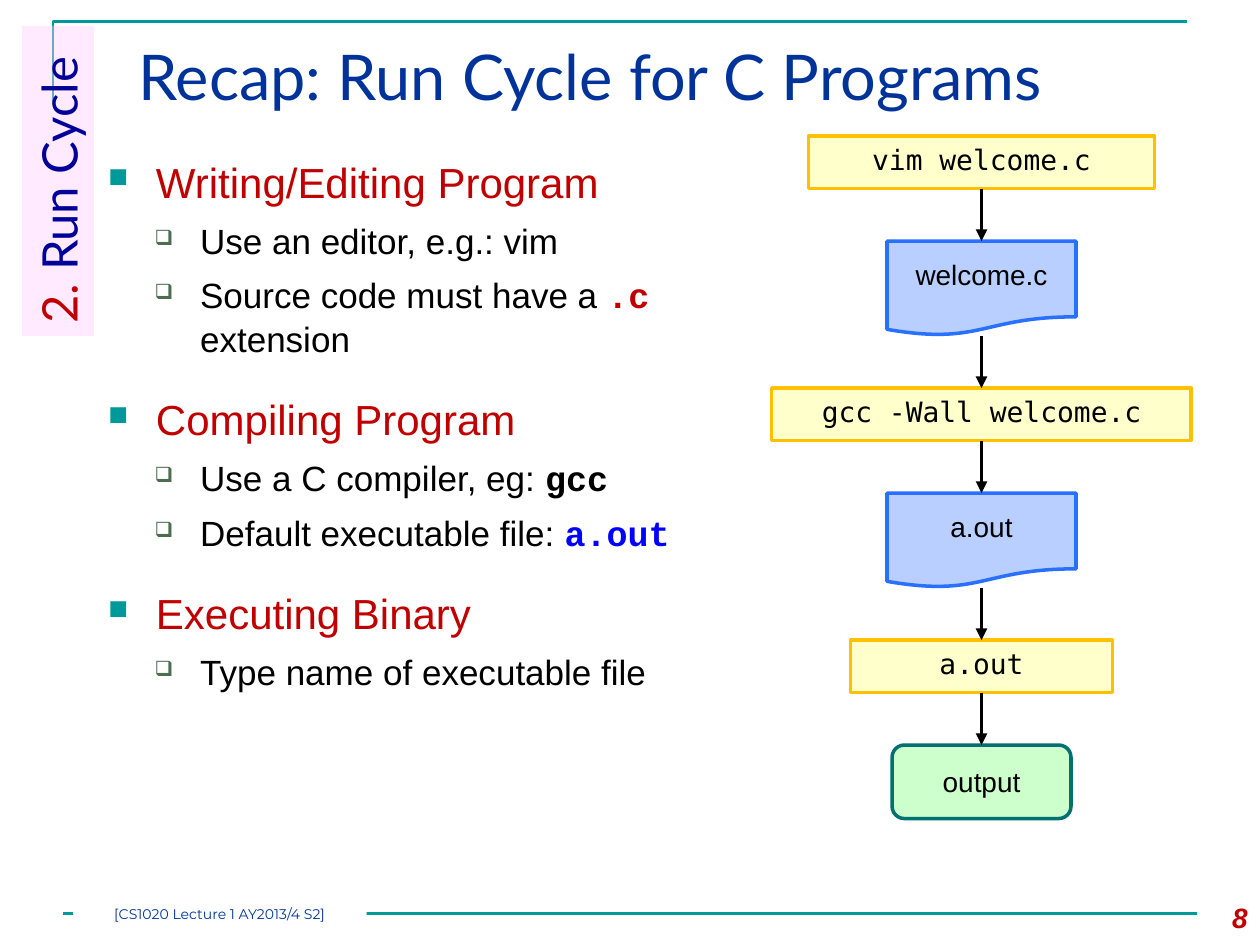
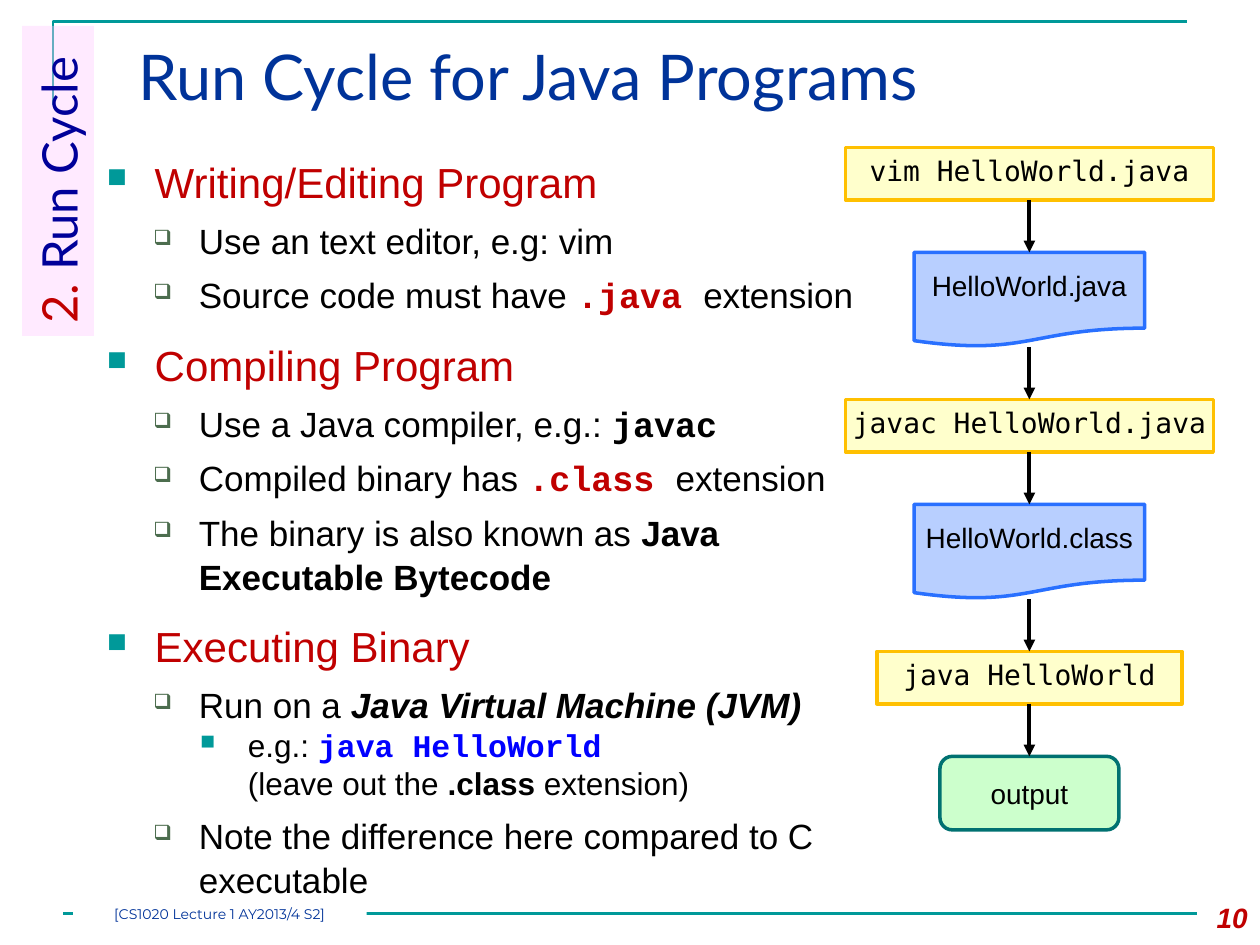
from lxml.etree import SubElement
from pptx import Presentation
from pptx.dml.color import RGBColor
from pptx.enum.shapes import MSO_CONNECTOR, MSO_SHAPE
from pptx.enum.text import MSO_ANCHOR, PP_ALIGN
from pptx.oxml.ns import qn
from pptx.util import Inches, Pt

# Shared colours and fonts
TEAL, NAVY, RED, BLUE, BLACK = "009999", "003399", "C00000", "0000FF", "000000"
SANS, CODE, MONO, HEAD = "Arial", "Courier New", "DejaVu Sans Mono", "Lato"

# Run styles in the body: font, colour (None keeps the level's), bold, italic
STYLES = {
    "plain": (SANS, None, False, False),
    "bold": (SANS, None, True, False),
    "slant": (SANS, None, True, True),
    "code": (CODE, None, True, False),
    "red": (CODE, RED, True, False),
    "blue": (CODE, BLUE, True, False),
}

# Body levels: left, hang, size, colour, line spacing, bullet, its colour and percent
LEVELS = [
    (0.38, 0.38, 24, RED, 1.05, "■", TEAL, 65),
    (0.73, 0.36, 20, BLACK, 1.05, "❑", "4C6D4E", 60),
    (1.12, 0.38, 18, BLACK, 1.0, "■", TEAL, 65),
]

# Chart nodes: shape, height, fill, line, font, top inset, anchor
STEP = 5 / 12
NODES = {
    "cmd": (MSO_SHAPE.RECTANGLE, STEP, "FFFFCC", "FFC000", MONO, 0.05, MSO_ANCHOR.TOP),
    "file": (MSO_SHAPE.FLOWCHART_DOCUMENT, 0.75, "B8CFFF", "2970FF", SANS, 0.13,
             MSO_ANCHOR.TOP),
    "end": (MSO_SHAPE.FLOWCHART_ALTERNATE_PROCESS, 7 / 12, "CCFFCC", "007171", SANS,
            0.05, MSO_ANCHOR.MIDDLE),
}


def rgb(code):
    return RGBColor.from_string(code)


def add_run(para, text, size, font, color, bold=False, slant=False):
    run = para.add_run()
    run.text = text
    face = run.font
    face.size, face.name, face.bold, face.italic = Pt(size), font, bold, slant
    face.color.rgb = rgb(color)


def add_text(slide, x, y, wide, high):
    frame = slide.shapes.add_textbox(
        Inches(x), Inches(y), Inches(wide), Inches(high)).text_frame
    frame.word_wrap = True
    return frame


def add_box(slide, kind, x, y, wide, high, fill, line=None):
    box = slide.shapes.add_shape(
        kind, Inches(x), Inches(y), Inches(wide), Inches(high))
    box.shadow.inherit = False
    box.fill.solid()
    box.fill.fore_color.rgb = rgb(fill)
    if line:
        box.line.color.rgb = rgb(line)
        box.line.width = Pt(2)
    else:
        box.line.fill.background()
    return box


def set_pad(frame, side=0, top=0):
    frame.margin_left = frame.margin_right = Inches(side)
    frame.margin_top, frame.margin_bottom = Inches(top), 0


def add_line(slide, x, y, end_x, end_y, color, width):
    line = slide.shapes.add_connector(
        MSO_CONNECTOR.STRAIGHT, Inches(x), Inches(y), Inches(end_x), Inches(end_y))
    line.line.color.rgb = rgb(color)
    line.line.width = Pt(width)
    SubElement(line._element.spPr, qn("a:effectLst"))
    return line


def add_arrow(slide, mid, y, start, end):
    arrow = add_line(slide, mid, y - STEP, mid, y, BLACK, 2.25)
    tip = SubElement(arrow._element.spPr.find(qn("a:ln")), qn("a:tailEnd"))
    tip.set("type", "triangle")
    if start.auto_shape_type == MSO_SHAPE.RECTANGLE:
        arrow.begin_connect(start, 2)
    arrow.end_connect(end, 0)


def add_frame(slide, title, number):
    # Corner rule and bottom rule
    pen = slide.shapes.build_freeform(Inches(0.42), Inches(0.83))
    pen.add_line_segments(
        [(Inches(0.42), Inches(0.17)), (Inches(9.42), Inches(0.17))], close=False)
    rule = pen.convert_to_shape()
    rule.shadow.inherit = False
    rule.fill.background()
    rule.line.color.rgb = rgb(TEAL)
    rule.line.width = Pt(1.5)
    add_line(slide, 0.5, 7.25, 9.5, 7.25, TEAL, 1.5)

    # Title
    para = add_text(slide, 1, 0.25, 8.5, 0.86).paragraphs[0]
    add_run(para, title, 36, HEAD, NAVY)

    # Footer and slide number
    foot = add_box(slide, MSO_SHAPE.RECTANGLE, 0.58, 7.17, 2.33, 0.17, "FFFFFF")
    set_pad(foot.text_frame)
    para = foot.text_frame.paragraphs[0]
    para.alignment = PP_ALIGN.CENTER
    add_run(para, "[CS1020 Lecture 1 AY2013/4 S2]", 8, "Montserrat", NAVY)
    para = add_text(slide, 9.33, 7.1, 0.67, 0.4).paragraphs[0]
    para.alignment = PP_ALIGN.RIGHT
    add_run(para, number, 16, SANS, RED, True, True)


def add_tab(slide):
    tab = add_box(slide, MSO_SHAPE.RECTANGLE, -0.77, 1.15, 2.46, 0.57, "FFCCFF")
    tab.rotation = 270
    tint = tab._element.spPr.find(qn("a:solidFill"))[0]
    SubElement(tint, qn("a:alpha")).set("val", "40000")
    para = tab.text_frame.paragraphs[0]
    para.alignment = PP_ALIGN.LEFT
    add_run(para, "2.", 28, HEAD, RED)
    add_run(para, " Run Cycle", 28, HEAD, "000099")


def add_bullet(para, left, hang, char, color, size):
    props = para._p.get_or_add_pPr()
    props.set("marL", str(Inches(left)))
    props.set("indent", str(-Inches(hang)))
    tint = SubElement(props, qn("a:buClr"))
    SubElement(tint, qn("a:srgbClr")).set("val", color)
    SubElement(props, qn("a:buSzPct")).set("val", str(size * 1000))
    SubElement(props, qn("a:buChar")).set("char", char)


def add_body(slide, x, wide, gap, items):
    """Each item is a level followed by its (text, style) runs."""
    frame = add_text(slide, x, 1.17, wide, 6)
    for num, (level, *runs) in enumerate(items):
        para = frame.add_paragraph() if num else frame.paragraphs[0]
        left, hang, size, color, space, char, tint, scale = LEVELS[level]
        add_bullet(para, left, hang, char, tint, scale)
        para.level = level
        para.line_spacing = space
        para.space_before = Pt((gap, 6, 0)[level] if num else 0)
        for text, style in runs:
            if text == "\n":
                para.add_line_break()
                continue
            font, own, bold, slant = STYLES[style]
            add_run(para, text, size, font, own or color, bold, slant)


def add_flow(slide, mid, top, nodes):
    """Stack nodes down one axis, with an arrow into each after the first."""
    last = None
    for kind, text, wide in nodes:
        form, high, fill, line, font, pad, anchor = NODES[kind]
        box = add_box(slide, form, mid - wide / 2, top, wide, high, fill, line)
        frame = box.text_frame
        frame.word_wrap = True
        frame.vertical_anchor = anchor
        set_pad(frame, top=pad if anchor == MSO_ANCHOR.TOP else 0)
        para = frame.paragraphs[0]
        para.alignment = PP_ALIGN.CENTER
        add_run(para, text, 16, font, BLACK)
        if last:
            add_arrow(slide, mid, top, last, box)
        last = box
        top += high + STEP


# Slide content
C_BODY = [
    (0, ("Writing/Editing Program", "plain")),
    (1, ("Use an editor, e.g.: vim", "plain")),
    (1, ("Source code must have a ", "plain"), (".c ", "red"), ("extension", "plain")),
    (0, ("Compiling Program", "plain")),
    (1, ("Use a C compiler, eg: ", "plain"), ("gcc", "code")),
    (1, ("Default executable file: ", "plain"), ("a.out", "blue")),
    (0, ("Executing Binary", "plain")),
    (1, ("Type name of executable file", "plain")),
]
C_FLOW = [
    ("cmd", "vim welcome.c", 2.75),
    ("file", "welcome.c", 1.5),
    ("cmd", "gcc -Wall welcome.c", 3.33),
    ("file", "a.out", 1.5),
    ("cmd", "a.out", 2.08),
    ("end", "output", 1.42),
]
JAVA_BODY = [
    (0, ("Writing/Editing Program", "plain")),
    (1, ("Use an text editor, e.g: vim", "plain")),
    (1, ("Source code must have ", "plain"), (".java ", "red"), ("extension", "plain")),
    (0, ("Compiling Program", "plain")),
    (1, ("Use a Java compiler, e.g.: ", "plain"), ("javac", "code")),
    (1, ("Compiled binary has ", "plain"), (".class ", "red"), ("extension", "plain")),
    (1, ("The binary is also known as ", "plain"), ("Java Executable Bytecode", "bold")),
    (0, ("Executing Binary", "plain")),
    (1, ("Run on a ", "plain"), ("Java Virtual Machine (JVM)", "slant")),
    (2, ("e.g.: ", "plain"), ("java HelloWorld", "blue"), ("\n", "plain"),
     ("(leave out the ", "plain"), (".class ", "bold"), ("extension)", "plain")),
    (1, ("Note the difference here compared to C executable", "plain")),
]
JAVA_FLOW = [
    ("cmd", "vim HelloWorld.java", 2.92),
    ("file", "HelloWorld.java", 1.83),
    ("cmd", "javac HelloWorld.java", 2.92),
    ("file", "HelloWorld.class", 1.83),
    ("cmd", "java HelloWorld", 2.42),
    ("end", "output", 1.42),
]


def main():
    deck = Presentation()
    deck.slide_width, deck.slide_height = Inches(10), Inches(7.5)
    blank = deck.slide_layouts[6]

    # C programs
    slide = deck.slides.add_slide(blank)
    add_frame(slide, "Recap: Run Cycle for C Programs", "8")
    add_flow(slide, 7.79, 1.08, C_FLOW)
    add_body(slide, 0.76, 5.5, 18, C_BODY)
    add_tab(slide)

    # Java programs
    slide = deck.slides.add_slide(blank)
    add_frame(slide, "Run Cycle for Java Programs", "10")
    add_body(slide, 0.75, 6.5, 12, JAVA_BODY)
    add_flow(slide, 8.17, 1.17, JAVA_FLOW)
    add_tab(slide)

    deck.save("out.pptx")


if __name__ == "__main__":
    main()
